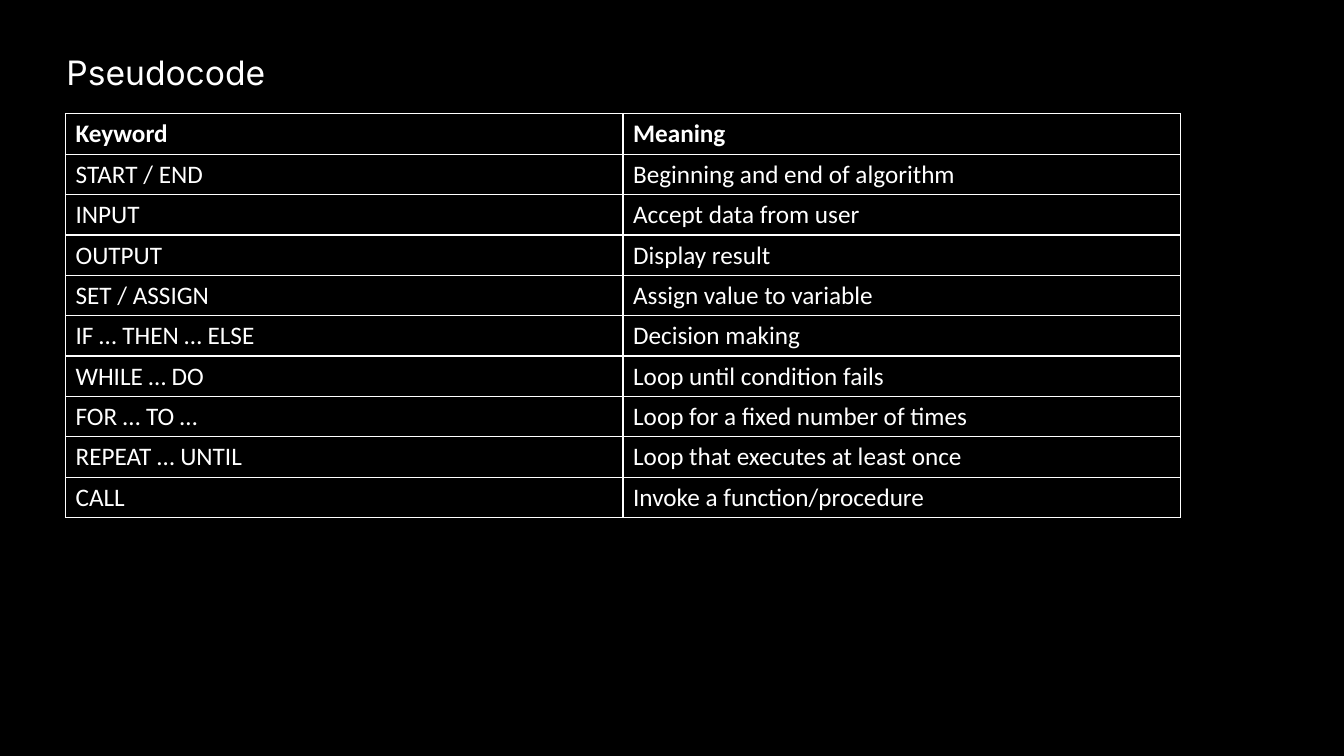
from pptx import Presentation
from pptx.dml.color import RGBColor
from pptx.enum.text import MSO_ANCHOR as Anchor, MSO_AUTO_SIZE as AutoSize
from pptx.oxml.ns import qn
from pptx.util import Inches, Pt
from lxml.etree import SubElement

TITLE = "Pseudocode"
ROWS = [
    ("Keyword", "Meaning"),
    ("START / END", "Beginning and end of algorithm"),
    ("INPUT", "Accept data from user"),
    ("OUTPUT", "Display result"),
    ("SET / ASSIGN", "Assign value to variable"),
    ("IF … THEN … ELSE", "Decision making"),
    ("WHILE … DO", "Loop until condition fails"),
    ("FOR … TO …", "Loop for a fixed number of times"),
    ("REPEAT … UNTIL", "Loop that executes at least once"),
    ("CALL", "Invoke a function/procedure"),
]
BLACK = RGBColor(0, 0, 0)
WHITE = RGBColor(255, 255, 255)
COL_W, ROW_H = Inches(5.53), Inches(0.4)


def add_run(p, text, font, size, bold=False):
    r = p.add_run()
    r.text = text
    r.font.name = font
    r.font.size = Pt(size)
    r.font.bold = bold
    r.font.color.rgb = WHITE


def add_borders(cell):
    tcPr = cell._tc.get_or_add_tcPr()
    for i, side in enumerate(("lnL", "lnR", "lnT", "lnB")):
        ln = tcPr.makeelement(qn(f"a:{side}"), {"w": str(Pt(1))})
        fill = SubElement(ln, qn("a:solidFill"))
        SubElement(fill, qn("a:srgbClr"), val=str(WHITE))
        tcPr.insert(i, ln)


def add_title(s):
    box = s.shapes.add_textbox(Inches(0.56), Inches(0.47), Inches(7.41), Inches(0.5))
    tf = box.text_frame
    tf.word_wrap = True
    tf.auto_size = AutoSize.SHAPE_TO_FIT_TEXT
    add_run(tf.paragraphs[0], TITLE, "Inter", 24)


def add_keywords(s):
    n_rows, n_cols = len(ROWS), len(ROWS[0])
    frame = s.shapes.add_table(n_rows, n_cols, Inches(0.65), Inches(1.13),
                               COL_W * n_cols, ROW_H * n_rows)
    table = frame.table
    table.horz_banding = False
    for i, row in enumerate(ROWS):
        for j, text in enumerate(row):
            cell = table.cell(i, j)
            cell.fill.background()
            cell.vertical_anchor = Anchor.MIDDLE
            add_run(cell.text_frame.paragraphs[0], text, "Calibri", 18, bold=i == 0)
            add_borders(cell)


def main():
    prs = Presentation()
    prs.slide_width, prs.slide_height = Inches(13.33), Inches(7.5)
    s = prs.slides.add_slide(prs.slide_layouts[6])
    s.background.fill.solid()
    s.background.fill.fore_color.rgb = BLACK
    add_title(s)
    add_keywords(s)
    prs.save("out.pptx")


if __name__ == "__main__":
    main()
